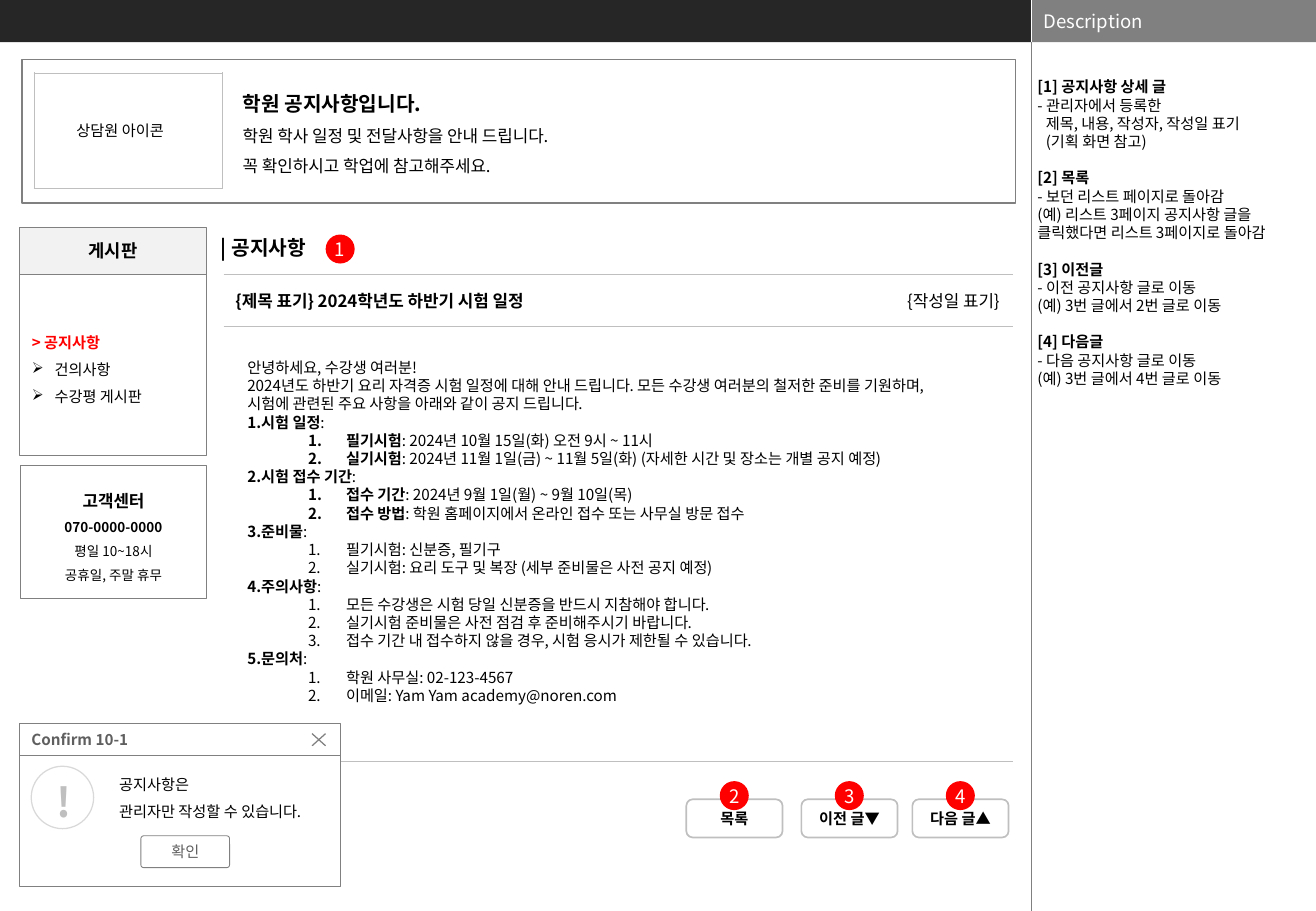
from lxml import etree
from pptx import Presentation
from pptx.dml.color import RGBColor
from pptx.enum.shapes import MSO_CONNECTOR, MSO_SHAPE
from pptx.enum.text import MSO_ANCHOR, MSO_AUTO_SIZE, PP_ALIGN
from pptx.oxml.ns import qn
from pptx.util import Pt

RECT, ROUND, OVAL = MSO_SHAPE.RECTANGLE, MSO_SHAPE.ROUNDED_RECTANGLE, MSO_SHAPE.OVAL
TOP, MIDDLE = MSO_ANCHOR.TOP, MSO_ANCHOR.MIDDLE
LEFT, CENTER = PP_ALIGN.LEFT, PP_ALIGN.CENTER
FONT = "Noto Sans CJK KR"
LINE = 1.2  # line height per point of text size
C = {"black": "000000", "white": "FFFFFF", "bar": "262626", "gray": "808080",
     "rule": "BFBFBF", "ring": "D9D9D9", "head": "F2F2F2", "label": "5F5F5F",
     "red": "FF0000"}

# Content
DESCRIPTION = [
    ("[1] 공지사항 상세 글", ["- 관리자에서 등록한", ("제목, 내용, 작성자, 작성일 표기",),
                        ("(기획 화면 참고)",)]),
    ("[2] 목록", ["- 보던 리스트 페이지로 돌아감",
                "(예) 리스트 3페이지 공지사항 글을 클릭했다면 리스트 3페이지로 돌아감"]),
    ("[3] 이전글", ["- 이전 공지사항 글로 이동", "(예) 3번 글에서 2번 글로 이동"]),
    ("[4] 다음글", ["- 다음 공지사항 글로 이동", "(예) 3번 글에서 4번 글로 이동"]),
]
GREETING = [
    "안녕하세요, 수강생 여러분!",
    "2024년도 하반기 요리 자격증 시험 일정에 대해 안내 드립니다. 모든 수강생 여러분의 철저한 준비를 "
    "기원하며, 시험에 관련된 주요 사항을 아래와 같이 공지 드립니다.",
]
# Each item: bold label, plain text
SECTIONS = [
    ("시험 일정", [
        ("필기시험", ": 2024년 10월 15일(화) 오전 9시 ~ 11시"),
        ("실기시험", ": 2024년 11월 1일(금) ~ 11월 5일(화) (자세한 시간 및 장소는 개별 공지 예정)")]),
    ("시험 접수 기간", [
        ("접수 기간", ": 2024년 9월 1일(월) ~ 9월 10일(목)"),
        ("접수 방법", ": 학원 홈페이지에서 온라인 접수 또는 사무실 방문 접수")]),
    ("준비물", [
        ("", "필기시험: 신분증, 필기구"),
        ("", "실기시험: 요리 도구 및 복장 (세부 준비물은 사전 공지 예정)")]),
    ("주의사항", [
        ("", "모든 수강생은 시험 당일 신분증을 반드시 지참해야 합니다."),
        ("", "실기시험 준비물은 사전 점검 후 준비해주시기 바랍니다."),
        ("", "접수 기간 내 접수하지 않을 경우, 시험 응시가 제한될 수 있습니다.")]),
    ("문의처", [
        ("", "학원 사무실: 02-123-4567"),
        ("", "이메일: Yam Yam academy@noren.com")]),
]
BUTTONS = [("2", "목록", 406.8), ("3", "이전 글▼", 475), ("4", "다음 글▲", 540.8)]

prs = Presentation()
prs.slide_width, prs.slide_height = Pt(780), Pt(540)
s = prs.slides.add_slide(prs.slide_layouts[5])


def rgb(name):
    return RGBColor.from_string(C[name])


def paint(sp, fill, line, width):
    sp.shadow.inherit = False
    if fill:
        sp.fill.solid()
        sp.fill.fore_color.rgb = rgb(fill)
    else:
        sp.fill.background()
    if line:
        sp.line.color.rgb = rgb(line)
        sp.line.width = Pt(width)
    else:
        sp.line.fill.background()


def shape(kind, x, y, w, h, fill=None, line=None, width=0.5, adj=None):
    sp = s.shapes.add_shape(kind, Pt(x), Pt(y), Pt(w), Pt(h))
    paint(sp, fill, line, width)
    if adj is not None:
        sp.adjustments[0] = adj
    return sp


def textbox(x, y, w, h):
    return s.shapes.add_textbox(Pt(x), Pt(y), Pt(w), Pt(h))


def rule(x1, y1, x2, y2, color="rule", width=0.5):
    ln = s.shapes.add_connector(MSO_CONNECTOR.STRAIGHT, Pt(x1), Pt(y1), Pt(x2), Pt(y2))
    ln.line.color.rgb = rgb(color)
    ln.line.width = Pt(width)
    etree.SubElement(ln._element.spPr, qn("a:effectLst"))


def para(text, bold=False, **opts):
    return [(text, bold)], opts


def write(sp, paras, anchor=MIDDLE, margins=(7.2, 3.6), wrap=True, **common):
    tf = sp.text_frame
    tf.auto_size = MSO_AUTO_SIZE.NONE
    tf.word_wrap = wrap
    tf.vertical_anchor = anchor
    tf.margin_left = tf.margin_right = Pt(margins[0])
    tf.margin_top = tf.margin_bottom = Pt(margins[1])
    for i, (runs, opts) in enumerate(paras):
        add_para(tf.add_paragraph() if i else tf.paragraphs[0], runs, **{**common, **opts})


def add_para(p, runs, size=9, color="black", align=LEFT, lines=1, before=0,
             left=0, hang=0, level=0, bullet=None):
    p.alignment = align
    p.level = level
    p.line_spacing = Pt(round(size * LINE * lines, 2))
    p.space_before = Pt(before)
    pPr = p._p.get_or_add_pPr()
    pPr.set("marL", str(Pt(left)))
    pPr.set("indent", str(Pt(-hang)))
    if bullet == "1.":
        etree.SubElement(pPr, qn("a:buFont"), typeface="+mj-lt")
        etree.SubElement(pPr, qn("a:buAutoNum"), type="arabicPeriod")
    elif bullet:
        etree.SubElement(pPr, qn("a:buChar"), char=bullet)
    for text, bold in runs:
        r = p.add_run()
        r.text = text
        r.font.name = FONT
        r.font.size = Pt(size)
        r.font.bold = bold
        r.font.color.rgb = rgb(color)
        etree.SubElement(r._r.get_or_add_rPr(), qn("a:ea"), typeface=FONT)


def badge(number, x, y):
    write(shape(OVAL, x, y, 17.2, 17.2, "red"), [para(number)], margins=(0, 0),
          wrap=False, size=11, color="white", align=CENTER)


# Top bars and description panel
shape(RECT, 0, 0, 611.3, 25, "bar")
shape(RECT, 611.3, 0, 168.7, 25, "gray")
rule(611.3, 0, 611.3, 25, "white", 0.25)
rule(611.3, 25, 611.3, 540, "gray", 0.25)
write(textbox(611.3, 0, 168.5, 24.5), [para("Description")], size=11, color="white")
notes = []
for i, (heading, details) in enumerate(DESCRIPTION):
    notes.append(para(heading, True, before=9 * LINE if i else 0))
    for d in details:
        notes.append(para(d) if isinstance(d, str) else para(d[0], left=5))
write(textbox(612, 46.1, 168, 490), notes, TOP, (2.9, 0))

# Page title
title = s.shapes.title
title.left, title.top, title.width, title.height = Pt(123.8), Pt(136), Pt(113), Pt(21.6)
write(title, [para("| 공지사항", True)], TOP, size=12)
badge("1", 193, 139)

# Post heading and body
for y in (162.7, 193.7, 451.4):
    rule(132.5, y, 600.5, y)
write(textbox(132.5, 168.5, 300, 19.4),
      [para("{제목 표기} 2024학년도 하반기 시험 일정", True)], TOP, size=10)
write(textbox(527, 168.5, 76.3, 19.4), [para("{작성일 표기}")], TOP,
      wrap=False, size=10, align=CENTER)
body = [para(t) for t in GREETING]
for heading, items in SECTIONS:
    body.append(([(heading, True), (":", False)], {"bullet": "1."}))
    for label, text in items:
        runs = [(label, True)] if label else []
        body.append((runs + [(text, False)],
                     {"bullet": "1.", "level": 1, "left": 58.5, "hang": 22.5}))
write(textbox(139.5, 208.8, 439, 214.6), body, TOP)

# Navigation buttons
for number, label, x in BUTTONS:
    write(shape(ROUND, x, 473.8, 57, 22.6, "white", "rule", 1),
          [para(label, True)], margins=(0, 0), align=CENTER)
    badge(number, x + 19.8, 463)

# Intro banner with icon frame
frame = s.shapes.add_table(1, 1, Pt(20.2), Pt(43.2), Pt(111.6), Pt(68.4))
frame.table.columns[0].width, frame.table.rows[0].height = Pt(111.6), Pt(68.4)
cell = frame.table.cell(0, 0)
tcPr = cell._tc.get_or_add_tcPr()
for side in ("lnL", "lnR", "lnT", "lnB"):
    edge = etree.SubElement(tcPr, qn("a:" + side), w=str(Pt(0.5)))
    etree.SubElement(etree.SubElement(edge, qn("a:solidFill")), qn("a:srgbClr"), val=C["rule"])
cell.fill.background()
write(textbox(136.8, 43.2, 424, 63.4), [
    para("학원 공지사항입니다.", True, size=12),
    para("학원 학사 일정 및 전달사항을 안내 드립니다."),
    para("꼭 확인하시고 학업에 참고해주세요.")], TOP, size=10, lines=1.5)
shape(RECT, 13, 35.3, 589, 85, line="gray", width=0.75)
write(shape(RECT, 38.2, 68.4, 75.6, 18, "white"), [para("상담원 아이콘")], wrap=False)

# Board menu
write(shape(ROUND, 11.8, 162.7, 110.4, 107.3, line="gray", adj=0), [
    para("> 공지사항", True, color="red"),
    para("건의사항", left=13.5, hang=13.5, bullet="➢"),
    para("수강평 게시판", left=13.5, hang=13.5, bullet="➢")], lines=1.5)
write(shape(ROUND, 11.8, 134.6, 110.4, 28.1, "head", "gray", adj=0),
      [para("게시판", True)], size=10.5, align=CENTER)

# Customer centre
write(shape(RECT, 12.2, 275.8, 110.2, 79, line="gray"), [
    para("고객센터", True, size=10), para("070-0000-0000", True),
    para("평일 10~18시"), para("공휴일, 주말 휴무")],
    margins=(2.9, 2.9), size=8, align=CENTER, lines=1.5)

# Confirm popup
shape(RECT, 11.5, 447.8, 190, 77.8, "white", "gray")
write(textbox(64.8, 451.4, 144, 38.2),
      [para("공지사항은"), para("관리자만 작성할 수 있습니다.")], margins=(5.8, 2.9), lines=1.5)
write(shape(RECT, 11.5, 429.1, 190, 18.7, "white", "gray"),
      [para("Confirm 10-1", True)], color="label")
cross = s.shapes.build_freeform(Pt(193), Pt(434.9))
cross.add_line_segments([(Pt(185), Pt(442.1))], close=False)
cross.move_to(Pt(185), Pt(434.9))
cross.add_line_segments([(Pt(193), Pt(442.1))], close=False)
paint(cross.convert_to_shape(), None, "gray", 0.75)
write(shape(ROUND, 83.5, 495.4, 52.6, 18.9, "white", "gray", adj=0.09),
      [para("확인")], color="label", align=CENTER)
shape(OVAL, 18.5, 454.2, 37, 37, line="ring", width=0.75)
write(textbox(26.6, 457.2, 33, 36), [para("!", True)], TOP, size=24, color="rule")

prs.save("out.pptx")
